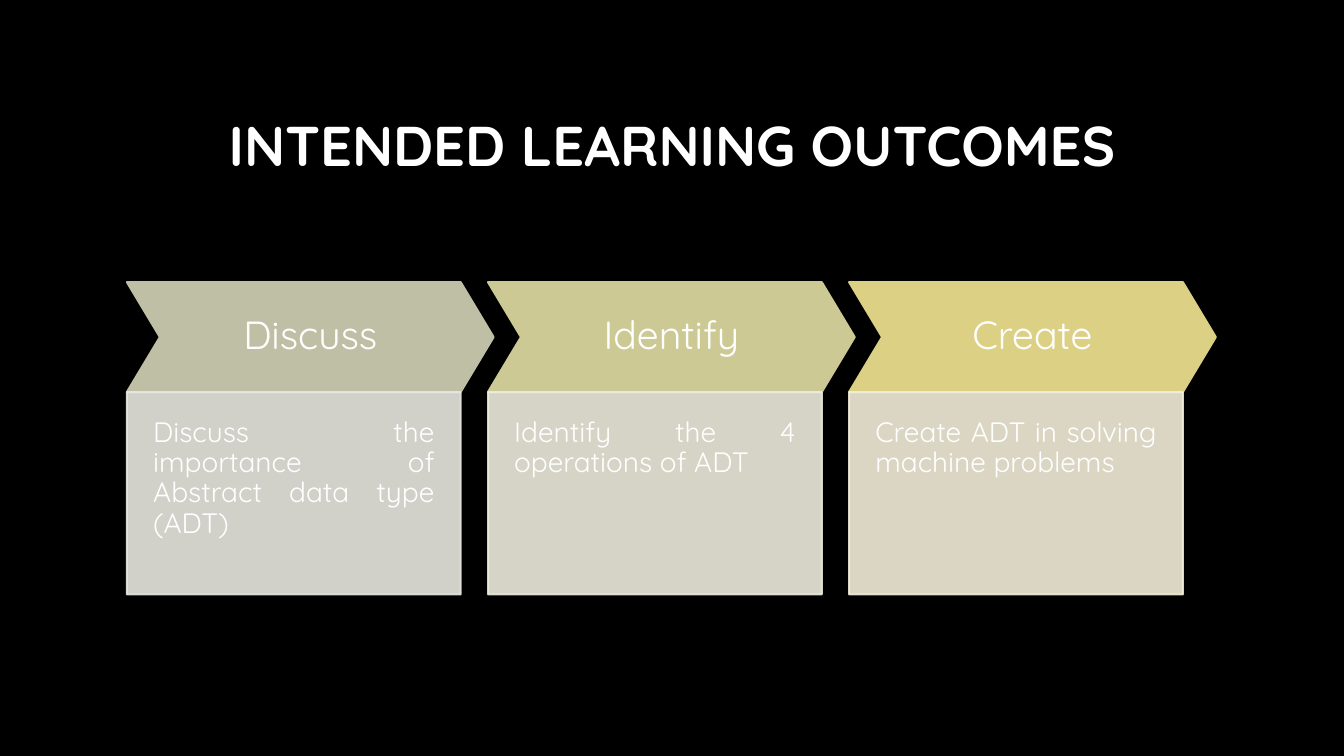
from dataclasses import dataclass

from lxml import etree
from pptx import Presentation
from pptx.dml.color import RGBColor
from pptx.enum.shapes import MSO_SHAPE
from pptx.enum.text import MSO_ANCHOR, MSO_AUTO_SIZE, PP_ALIGN
from pptx.oxml.ns import qn
from pptx.util import Cm, Pt

CHEVRON, RECT = MSO_SHAPE.CHEVRON, MSO_SHAPE.RECTANGLE
TOP, MIDDLE = MSO_ANCHOR.TOP, MSO_ANCHOR.MIDDLE
CENTER, JUSTIFY = PP_ALIGN.CENTER, PP_ALIGN.JUSTIFY
TITLE_ONLY = 5


@dataclass(frozen=True)
class Theme:
    font: str = "Quicksand"
    background: str = "000000"
    text: str = "FFFFFF"
    title_size: int = 40
    heading_size: int = 28
    body_size: int = 20
    line_width: float = 1.5
    body_opacity: int = 90


THEME = Theme()

# Heading, description, chevron colour, panel colour
OUTCOMES = [
    ("Discuss", "Discuss the importance of Abstract data type (ADT)",
     "BFBFA5", "E8E8E1"),
    ("Identify", "Identify the 4 operations of ADT", "CDC995", "EDECDD"),
    ("Create", "Create ADT in solving machine problems", "DCD084", "F2EED9"),
]

# Column layout in centimetres
LEFT, PITCH = 3.2, 9.1
CHEVRON_TOP, CHEVRON_W, CHEVRON_H = 7.11, 9.24, 2.77
PANEL_W, PANEL_H = 8.41, 5.1


def rgb(color):
    return RGBColor.from_string(color)


def write_text(shape, text, size, align, anchor, bold=False):
    tf = shape.text_frame
    tf.text = text
    tf.word_wrap = True
    tf.auto_size = MSO_AUTO_SIZE.NONE
    tf.vertical_anchor = anchor
    p = tf.paragraphs[0]
    p.alignment = align
    p.line_spacing = 0.9
    font = p.runs[0].font
    font.name, font.size, font.bold = THEME.font, Pt(size), bold
    font.color.rgb = rgb(THEME.text)


def set_margins(shape, side, bottom):
    tf = shape.text_frame
    tf.margin_left = tf.margin_top = tf.margin_right = Cm(side)
    tf.margin_bottom = Cm(bottom)


def set_opacity(shape, percent):
    """Make both fill and outline translucent."""
    for color in shape._element.spPr.iter(qn("a:srgbClr")):
        etree.SubElement(color, qn("a:alpha"), val=str(percent * 1000))


def add_block(s, kind, x, y, w, h, color):
    shape = s.shapes.add_shape(kind, Cm(x), Cm(y), Cm(w), Cm(h))
    shape.shadow.inherit = False
    shape.fill.solid()
    shape.fill.fore_color.rgb = rgb(color)
    shape.line.color.rgb = rgb(color)
    shape.line.width = Pt(THEME.line_width)
    return shape


def add_title(s, text):
    title = s.shapes.title
    title.left, title.top = Cm(3.18), Cm(1.7)
    title.width, title.height = Cm(27.51), Cm(4.09)
    write_text(title, text, THEME.title_size, CENTER, MIDDLE, bold=True)


def add_outcome(s, x, heading, description, chevron_color, panel_color):
    # Chevron heading
    chevron = add_block(s, CHEVRON, x, CHEVRON_TOP, CHEVRON_W, CHEVRON_H,
                        chevron_color)
    chevron.adjustments[0] = 0.3
    write_text(chevron, heading, THEME.heading_size, CENTER, MIDDLE)
    set_margins(chevron, 0.33, 0.33)

    # Description panel
    panel = add_block(s, RECT, x, CHEVRON_TOP + CHEVRON_H, PANEL_W, PANEL_H,
                      panel_color)
    set_opacity(panel, THEME.body_opacity)
    write_text(panel, description, THEME.body_size, JUSTIFY, TOP)
    set_margins(panel, 0.66, 1.32)


def main():
    prs = Presentation()
    prs.slide_width, prs.slide_height = Cm(33.87), Cm(19.05)
    s = prs.slides.add_slide(prs.slide_layouts[TITLE_ONLY])
    s.background.fill.solid()
    s.background.fill.fore_color.rgb = rgb(THEME.background)

    add_title(s, "INTENDED LEARNING OUTCOMES")
    for i, outcome in enumerate(OUTCOMES):
        add_outcome(s, LEFT + i * PITCH, *outcome)

    prs.save("out.pptx")


if __name__ == "__main__":
    main()
